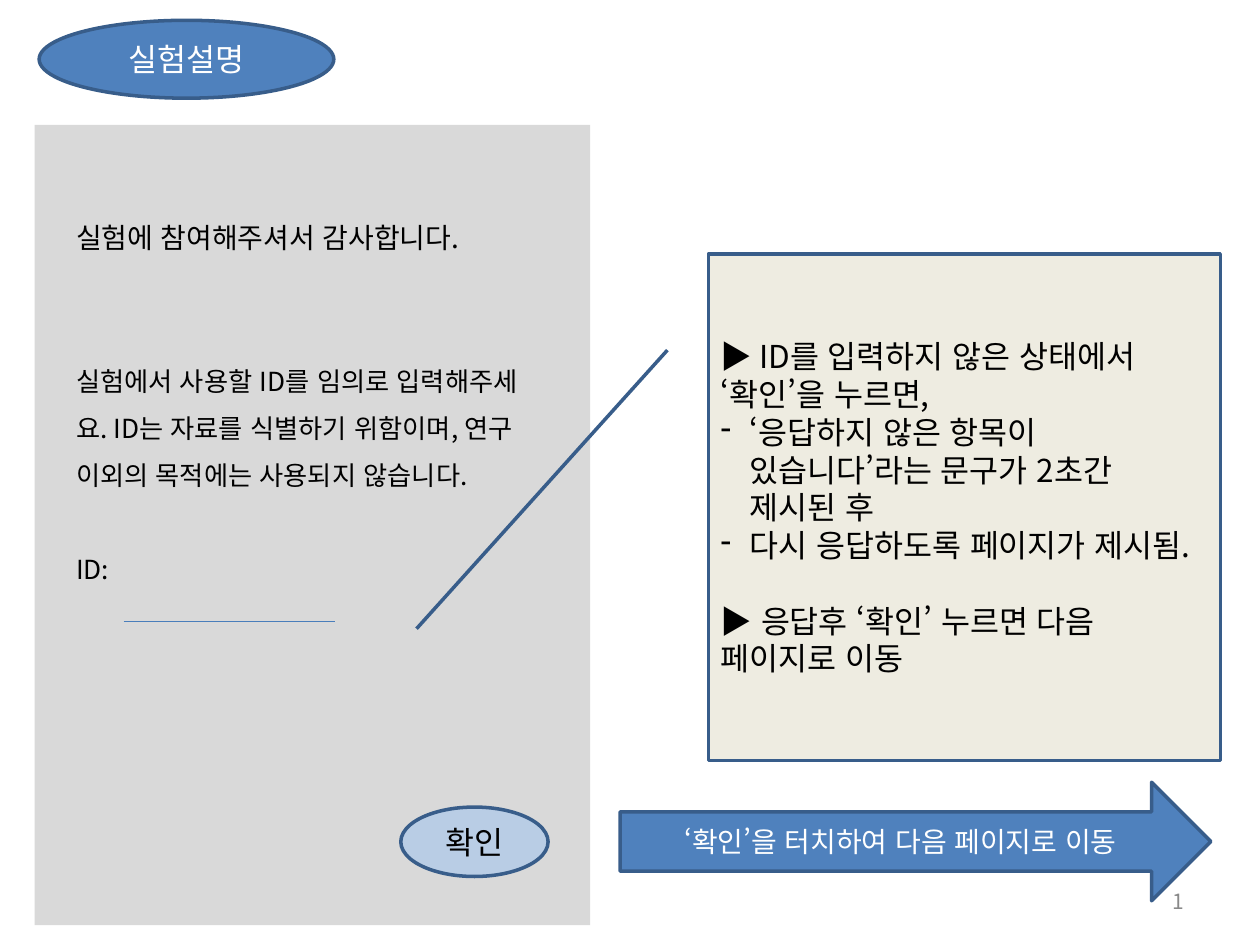
from lxml import etree
from pptx import Presentation
from pptx.dml.color import RGBColor
from pptx.enum.lang import MSO_LANGUAGE_ID
from pptx.enum.shapes import MSO_CONNECTOR, MSO_SHAPE
from pptx.enum.text import MSO_ANCHOR, MSO_AUTO_SIZE, PP_ALIGN
from pptx.oxml.ns import qn
from pptx.util import Cm, Pt

RECT = MSO_SHAPE.RECTANGLE
OVAL = MSO_SHAPE.OVAL
ARROW = MSO_SHAPE.RIGHT_ARROW
CALLOUT = MSO_SHAPE.LINE_CALLOUT_1
STRAIGHT = MSO_CONNECTOR.STRAIGHT
TOP, MIDDLE = MSO_ANCHOR.TOP, MSO_ANCHOR.MIDDLE
LEFT, CENTER, RIGHT = PP_ALIGN.LEFT, PP_ALIGN.CENTER, PP_ALIGN.RIGHT
NO_FIT = MSO_AUTO_SIZE.NONE
KOREAN = MSO_LANGUAGE_ID.KOREAN

FONT = "Noto Sans CJK KR"
COLORS = {
    "black": "000000", "white": "FFFFFF", "grey": "898989",
    "panel": "D9D9D9", "blue": "4F81BD", "edge": "385D8A",
    "button": "B9CDE5", "note": "EEECE1", "rule": "4A7EBB",
}


def color(name):
    return RGBColor.from_string(COLORS[name])


def paint(shape, fill, edge=None):
    shape.fill.solid()
    shape.fill.fore_color.rgb = color(fill)
    if edge:
        shape.line.color.rgb = color(edge)
        shape.line.width = Pt(2)
    else:
        shape.line.fill.background()


def place(shape, box):
    shape.left, shape.top, shape.width, shape.height = map(Cm, box)


def add_form(slide, kind, box, fill, edge=None):
    shape = slide.shapes.add_shape(kind, *map(Cm, box))
    shape.shadow.inherit = False
    paint(shape, fill, edge)
    return shape


def write(shape, lines, size, ink, align=CENTER, anchor=MIDDLE):
    frame = shape.text_frame
    frame.word_wrap = True
    frame.auto_size = NO_FIT
    frame.vertical_anchor = anchor
    frame.text = "\n".join(lines)
    for para in frame.paragraphs:
        para.alignment = align
        para.space_before = Pt(0)
        for run in para.runs:
            run.font.name = FONT
            run.font.size = Pt(size)
            run.font.color.rgb = color(ink)
            run.font.language_id = KOREAN
            east = etree.SubElement(run.font._element, qn("a:ea"))
            east.set("typeface", FONT)
    return frame.paragraphs


def set_bullet(para, mark=None, indent=0):
    props = para._p.get_or_add_pPr()
    props.set("marL", str(Cm(indent)))
    props.set("indent", str(-Cm(indent)))
    if mark:
        etree.SubElement(props, qn("a:buChar")).set("char", mark)
    else:
        etree.SubElement(props, qn("a:buNone"))


def add_title(slide):
    title = slide.shapes.title
    box = (0.79, 0.41, 5.94, 1.57)
    place(title, box)
    write(title, ["실험설명"], 18, "white")
    # Oval behind the title
    oval = add_form(slide, OVAL, box, "blue", "edge")
    title.element.addprevious(oval.element)


def add_intro(slide):
    body = slide.placeholders[1]
    place(body, (1.28, 3.99, 10.01, 8.89))
    paras = write(body, [
        "실험에 참여해주셔서 감사합니다.",
        "실험에서 사용할 ID를 임의로 입력해주세요. ID는 자료를 식별하기 "
        "위함이며, 연구 이외의 목적에는 사용되지 않습니다.",
        "ID:",
    ], 15, "black", LEFT, TOP)
    for para, gap in zip(paras, (0, 54, 27)):
        para.line_spacing = 1.5
        para.space_before = Pt(gap)
        set_bullet(para)
    paras[0].runs[0].font.size = Pt(16)

    # Grey screen behind the text
    panel = add_form(slide, RECT, (0.7, 2.52, 11.2, 16.13), "panel")
    body.element.addprevious(panel.element)


def add_note(slide):
    note = add_form(slide, CALLOUT, (14.28, 5.12, 10.32, 10.21), "note", "edge")
    for i, value in enumerate((0.19, -0.08, 0.74, -0.57)):
        note.adjustments[i] = value
    paras = write(note, [
        "▶ ID를 입력하지 않은 상태에서 ‘확인’을 누르면,",
        "‘응답하지 않은 항목이 있습니다’라는 문구가 2초간 제시된 후",
        "다시 응답하도록 페이지가 제시됨.",
        "▶ 응답후 ‘확인’ 누르면 다음 페이지로 이동",
    ], 18, "black", LEFT)
    paras[3].space_before = Pt(21.5)
    for para in paras[1:3]:
        set_bullet(para, "-", 0.58)


def add_rule(slide, x1, x2, y):
    rule = slide.shapes.add_connector(STRAIGHT, Cm(x1), Cm(y), Cm(x2), Cm(y))
    rule.line.color.rgb = color("rule")
    rule.line.width = Pt(0.75)
    etree.SubElement(rule._element.spPr, qn("a:effectLst"))


def main():
    deck = Presentation()
    deck.slide_width, deck.slide_height = Cm(25.4), Cm(19.05)
    slide = deck.slides.add_slide(deck.slide_layouts[1])

    # Title and participant screen
    add_title(slide)
    add_intro(slide)

    # Next-page arrow and confirm button
    arrow = add_form(slide, ARROW, (12.5, 15.77, 11.91, 2.39), "blue", "edge")
    write(arrow, ["‘확인’을 터치하여 다음 페이지로 이동"], 16, "white")
    button = add_form(slide, OVAL, (8.08, 16.27, 2.97, 1.4), "button", "edge")
    write(button, ["확인"], 18, "black")

    # Callout and ID entry line
    add_note(slide)
    add_rule(slide, 2.49, 6.76, 12.53)

    # Page number
    page = slide.shapes.add_textbox(*map(Cm, (18.21, 17.65, 5.92, 1.02)))
    write(page, ["1"], 12, "grey", RIGHT)

    deck.save("out.pptx")


if __name__ == "__main__":
    main()
